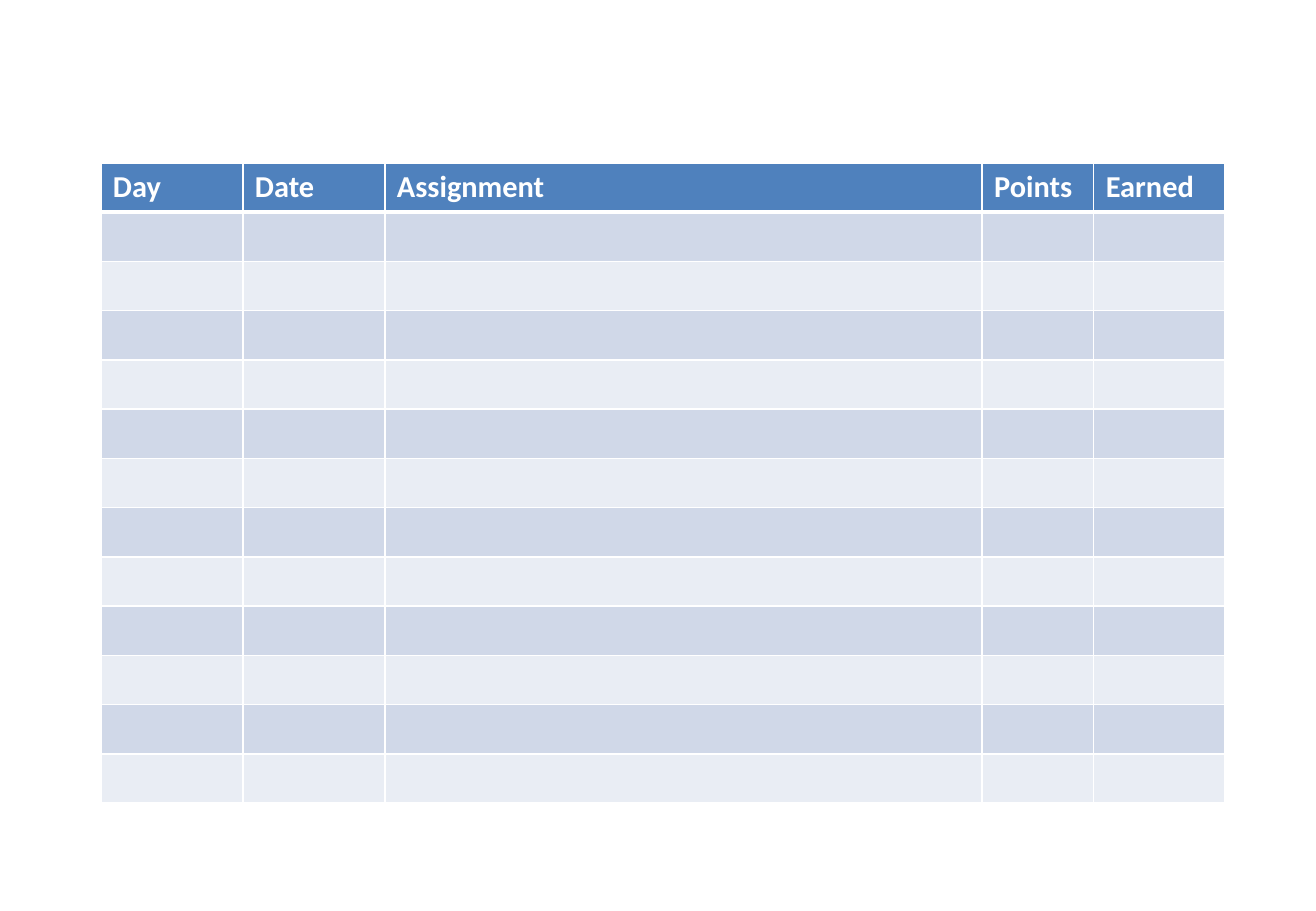
from lxml.etree import SubElement
from pptx import Presentation
from pptx.dml.color import RGBColor
from pptx.oxml.ns import qn
from pptx.util import Inches, Pt

HEADS = ["Day", "Date", "Assignment", "Points", "Earned"]
WIDTHS = [1.17, 1.17, 4.92, 0.92, 1.08]
DAYS = 12
WHITE, BLUE = "FFFFFF", "4F81BD"
BANDS = ["D0D8E8", "E9EDF4"]
FONT = {"name": "Calibri", "size": Pt(18), "bold": True}


def color(code):
    return RGBColor.from_string(code)


def border(cell, widths):
    props = cell._tc.get_or_add_tcPr()
    for side, width in widths.items():
        line = SubElement(props, qn(f"a:ln{side}"), w=str(Pt(width)))
        fill = SubElement(line, qn("a:solidFill"))
        SubElement(fill, qn("a:srgbClr"), val=WHITE)


def paint(cell, code):
    cell.fill.solid()
    cell.fill.fore_color.rgb = color(code)


def write(cell, text):
    run = cell.text_frame.paragraphs[0].add_run()
    run.text = text
    for name, value in FONT.items():
        setattr(run.font, name, value)
    run.font.color.rgb = color(WHITE)


def add_log(slide, left, top, width, height):
    count = DAYS + 1
    frame = slide.shapes.add_table(
        count, len(HEADS), Inches(left), Inches(top), Inches(width), Inches(height))
    table = frame.table
    for column, share in zip(table.columns, WIDTHS):
        column.width = Inches(width * share / sum(WIDTHS))
    for index, row in enumerate(table.rows):
        row.height = Inches(height / count)
        for cell in row.cells:
            border(cell, {"L": 1, "R": 1,
                          "T": 3 if index == 1 else 1,
                          "B": 3 if index == 0 else 1})
            paint(cell, BANDS[(index - 1) % 2] if index else BLUE)
    for cell, head in zip(table.rows[0].cells, HEADS):
        write(cell, head)


def main():
    deck = Presentation()
    deck.slide_width, deck.slide_height = Inches(10.83), Inches(7.5)
    slide = deck.slides.add_slide(deck.slide_layouts[6])
    add_log(slide, 0.83, 1.34, 9.25, 5.27)
    deck.save("out.pptx")


if __name__ == "__main__":
    main()
